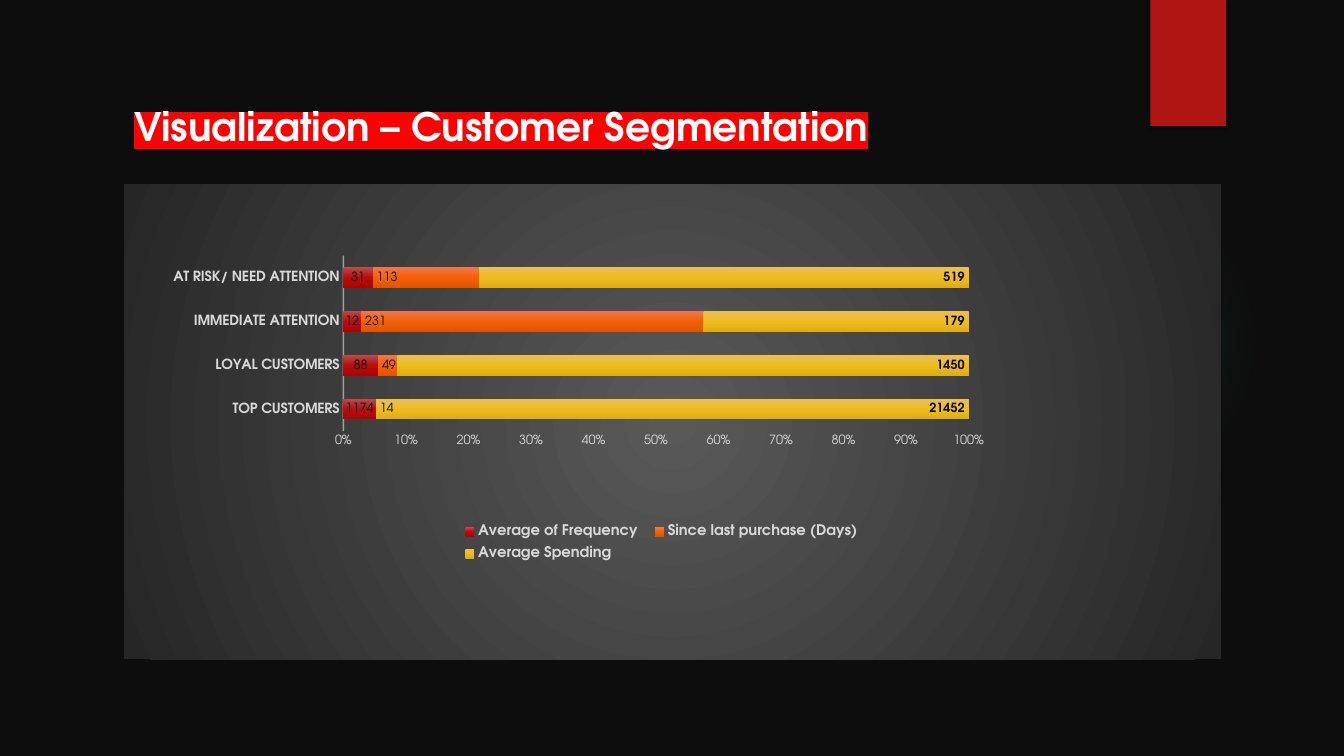
import lxml.etree
import pptx
import pptx.chart.data
import pptx.dml.color
import pptx.enum.chart
import pptx.enum.shapes
import pptx.enum.text
import pptx.oxml
import pptx.oxml.ns
import pptx.util

Inches, Pt = pptx.util.Inches, pptx.util.Pt
qn = pptx.oxml.ns.qn
LABEL = pptx.enum.chart.XL_LABEL_POSITION

TITLE = "Visualization – Customer Segmentation"
FONT = "TeX Gyre Adventor"
COLORS = {
    "background": "0D0D0D", "ribbon": "B01513", "glow": "50B9C1",
    "white": "FFFFFF", "highlight": "FF0000", "text": "D9D9D9",
    "axis": "F2F2F2", "label": "030808", "soft_label": "0D0D0D",
}
SEGMENTS = ["TOP CUSTOMERS", "LOYAL CUSTOMERS", "IMMEDIATE ATTENTION",
            "AT RISK/ NEED ATTENTION"]
SERIES = [
    {"name": "Average of Frequency", "values": [1174, 88, 12, 31],
     "gradient": ["BB4C4C", "B80D0B", "AA0503"],
     "position": LABEL.CENTER, "label": "label", "bold": False},
    {"name": "Since last purchase (Days)", "values": [14, 49, 231, 113],
     "gradient": ["F1764C", "F56007", "E05400"],
     "position": LABEL.INSIDE_BASE, "label": "soft_label", "bold": False},
    {"name": "Average Spending", "values": [21452, 1450, 179, 519],
     "gradient": ["EBBF53", "EFBC20", "DFAC11"],
     "position": LABEL.INSIDE_END, "label": "label", "bold": True},
]
CHART_GRADIENT = [(0, "595959", 100), (100, "262626", 100)]
GLOW_GRADIENT = [(0, COLORS["glow"], 7), (36, COLORS["glow"], 6),
                 (69, COLORS["glow"], 0)]
PLOT_LAYOUT = (0.2, 0.15, 0.57, 0.37)
LEGEND_LAYOUT = (0.3, 0.7, 0.38, 0.11)


def rgb(name):
    return pptx.dml.color.RGBColor.from_string(COLORS[name])


def style(font, size, color, bold=False):
    font.name, font.size, font.bold = FONT, Pt(size), bold
    font.color.rgb = rgb(color)


def child(parent, tag, **attributes):
    values = {key: str(value) for key, value in attributes.items()}
    return lxml.etree.SubElement(parent, qn(tag), values)


def add_gradient(parent, stops, radial):
    gradient = child(parent, "a:gradFill", rotWithShape=1)
    stop_list = child(gradient, "a:gsLst")
    for position, color, alpha in stops:
        stop = child(stop_list, "a:gs", pos=position * 1000)
        fill = child(stop, "a:srgbClr", val=color)
        if alpha < 100:
            child(fill, "a:alpha", val=alpha * 1000)
    if radial:
        path = child(gradient, "a:path", path="circle")
        child(path, "a:fillToRect", l=50000, t=50000, r=50000, b=50000)
    else:
        child(gradient, "a:lin", ang=5400000, scaled=0)
    return gradient


def fill_gradient(fill, properties, stops, radial):
    fill.background()
    gradient = add_gradient(properties, stops, radial)
    properties.replace(properties.find(qn("a:noFill")), gradient)


def make_layout(box, inner=False):
    layout = pptx.oxml.parse_xml(f'<c:layout {pptx.oxml.ns.nsdecls("c")}/>')
    manual = child(layout, "c:manualLayout")
    if inner:
        child(manual, "c:layoutTarget", val="inner")
    for key in "xy":
        child(manual, f"c:{key}Mode", val="edge")
    for key, value in zip("xywh", box):
        child(manual, f"c:{key}", val=value)
    return layout


def add_plain(s, kind, left, top, width, height):
    sp = s.shapes.add_shape(kind, Inches(left), Inches(top), Inches(width), Inches(height))
    sp.shadow.inherit = False
    sp.line.fill.background()
    return sp


def add_decor(s):
    shapes = pptx.enum.shapes.MSO_SHAPE
    glow = add_plain(s, shapes.OVAL, 9.41, 1.83, 3.08, 3.08)
    fill_gradient(glow.fill, glow._element.spPr, GLOW_GRADIENT, True)

    ribbon = add_plain(s, shapes.RECTANGLE, 11.41, 0, 0.75, 1.25)
    ribbon.fill.solid()
    ribbon.fill.fore_color.rgb = rgb("ribbon")
    effects = ribbon._element.spPr.find(qn("a:effectLst"))
    shadow = child(effects, "a:outerShdw", blurRad=int(Pt(3)), dist=int(Pt(2)),
                   dir=5400000, rotWithShape=0)
    child(child(shadow, "a:srgbClr", val="000000"), "a:alpha", val=45000)


def add_title(s):
    title = s.shapes.title
    title.left, title.top = Inches(1.23), Inches(0.96)
    title.width, title.height = Inches(8.02), Inches(0.57)
    tf = title.text_frame
    tf.word_wrap = True
    tf.vertical_anchor = pptx.enum.text.MSO_ANCHOR.MIDDLE
    p = tf.paragraphs[0]
    p.alignment = pptx.enum.text.PP_ALIGN.LEFT
    r = p.add_run()
    r.text = TITLE
    style(r.font, 28, "white", True)
    properties = r._r.get_or_add_rPr()
    highlight = child(properties, "a:highlight")
    child(highlight, "a:srgbClr", val=COLORS["highlight"])
    properties.find(qn("a:solidFill")).addnext(highlight)


def style_axes(chart):
    none = pptx.enum.chart.XL_TICK_MARK.NONE
    for axis in (chart.category_axis, chart.value_axis):
        axis.major_tick_mark = axis.minor_tick_mark = none
        axis.has_major_gridlines = False
    style(chart.category_axis.tick_labels.font, 10, "text", True)
    line = chart.category_axis.format.line
    line.width = Pt(1)
    line.color.rgb = rgb("axis")
    axis_properties = chart.category_axis._element.find(qn("c:spPr"))
    axis_color = next(axis_properties.iter(qn("a:srgbClr")))
    child(axis_color, "a:alpha", val=54000)

    value_axis = chart.value_axis
    value_axis.format.line.fill.background()
    value_axis.minimum_scale, value_axis.maximum_scale, value_axis.major_unit = 0, 1, 0.1
    labels = value_axis.tick_labels
    labels.number_format, labels.number_format_is_linked = "0%", False
    style(labels.font, 9, "text")


def add_segment_chart(s):
    data = pptx.chart.data.CategoryChartData(number_format="0")
    data.categories = SEGMENTS
    for item in SERIES:
        data.add_series(item["name"], item["values"])
    chart = s.shapes.add_chart(
        pptx.enum.chart.XL_CHART_TYPE.BAR_STACKED_100,
        Inches(1.23), Inches(1.83), Inches(10.88), Inches(4.71), data).chart
    chart.has_title = False
    style(chart.font, 10, "white")
    style_axes(chart)

    plot = chart.plots[0]
    plot.gap_width, plot.overlap = 115, 100
    plot.vary_by_categories = False
    for series, item in zip(plot.series, SERIES):
        stops = [(50 * i, color, 100) for i, color in enumerate(item["gradient"])]
        series_fill = series.format.fill
        fill_gradient(series_fill, series._element.find(qn("c:spPr")), stops, False)
        labels = series.data_labels
        labels.show_value = True
        labels.position = item["position"]
        labels.number_format, labels.number_format_is_linked = "0", False
        style(labels.font, 9, item["label"], item["bold"])

    chart.has_legend = True
    legend = chart.legend
    legend.position = pptx.enum.chart.XL_LEGEND_POSITION.RIGHT
    legend.include_in_layout = False
    style(legend.font, 10.5, "text", True)

    for parent, box, inner in ((legend._element, LEGEND_LAYOUT, False),
                               (plot._element.getparent(), PLOT_LAYOUT, True)):
        for old in parent.findall(qn("c:layout")):
            parent.remove(old)
        parent.insert(0 if inner else 1, make_layout(box, inner))

    space = chart._chartSpace
    properties = child(space, "c:spPr")
    add_gradient(properties, CHART_GRADIENT, True)
    child(child(properties, "a:ln"), "a:noFill")
    space.find(qn("c:chart")).addnext(properties)


def main():
    prs = pptx.Presentation()
    prs.slide_width, prs.slide_height = Inches(13.33), Inches(7.5)
    s = prs.slides.add_slide(prs.slide_layouts[5])
    s.background.fill.solid()
    s.background.fill.fore_color.rgb = rgb("background")
    add_decor(s)
    add_segment_chart(s)
    add_title(s)
    prs.save("out.pptx")


if __name__ == "__main__":
    main()
